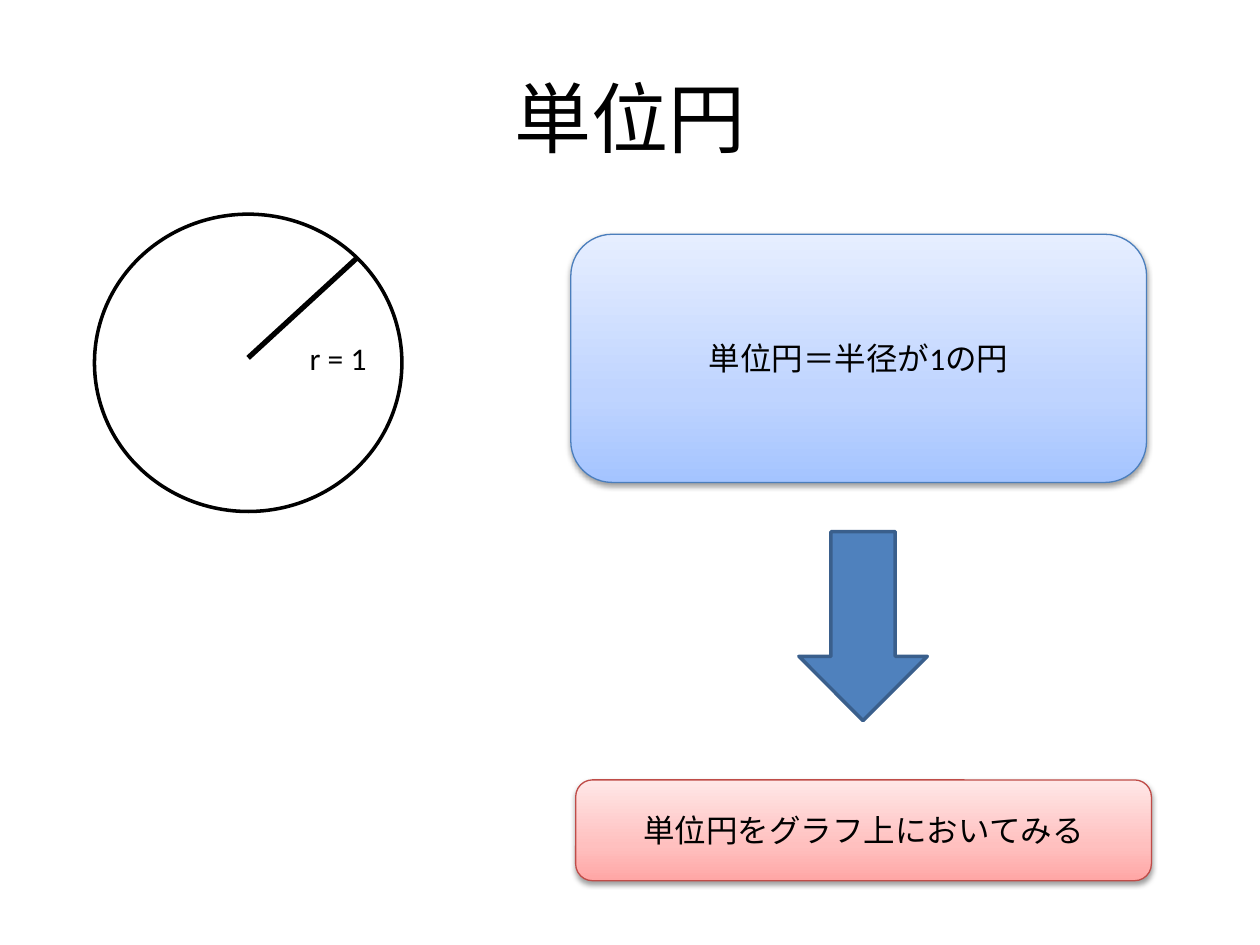
from copy import deepcopy
from typing import NamedTuple

from lxml import etree
from pptx import Presentation
from pptx.dml.color import RGBColor
from pptx.enum import shapes, text
from pptx.oxml import ns
from pptx.util import Pt

BLACK = RGBColor(0x00, 0x00, 0x00)
WHITE = RGBColor(0xFF, 0xFF, 0xFF)
ARROW_FILL = RGBColor(0x4F, 0x81, 0xBD)
ARROW_LINE = RGBColor(0x3A, 0x5F, 0x8C)
BLUE_LINE = RGBColor(0x4B, 0x7E, 0xBC)
BLUE_STOPS = (RGBColor(0xA4, 0xC4, 0xFF), RGBColor(0xBF, 0xD4, 0xFF), RGBColor(0xE6, 0xEE, 0xFF))
RED_LINE = RGBColor(0xBF, 0x4C, 0x48)
RED_STOPS = (RGBColor(0xFF, 0xA6, 0xA5), RGBColor(0xFF, 0xC0, 0xBF), RGBColor(0xFF, 0xE7, 0xE7))
STOP_POSITIONS = (0, 0.35, 1)
FONT = "Calibri"


class Box(NamedTuple):
    """Left, top, width and height in points."""
    left: float
    top: float
    width: float
    height: float

    def lengths(self) -> list:
        return [Pt(v) for v in self]


class Card(NamedTuple):
    box: Box
    label: str
    stops: tuple
    line: RGBColor


CARDS = (
    Card(Box(326.2, 133.9, 329, 141.8), "単位円＝半径が1の円", BLUE_STOPS, BLUE_LINE),
    Card(Box(329, 445.7, 329, 57.6), "単位円をグラフ上においてみる", RED_STOPS, RED_LINE),
)


def set_text(s, label: str, size: float = 18, align=text.PP_ALIGN.CENTER,
             anchor=text.MSO_ANCHOR.MIDDLE) -> None:
    tf = s.text_frame
    tf.text = label
    tf.vertical_anchor = anchor
    p = tf.paragraphs[0]
    p.alignment = align
    font = p.runs[0].font
    font.name, font.size, font.color.rgb = FONT, Pt(size), BLACK


def add_shape(slide, kind, box: Box, line: RGBColor, weight: float):
    s = slide.shapes.add_shape(kind, *box.lengths())
    s.shadow.inherit = False
    s.line.color.rgb = line
    s.line.width = Pt(weight)
    return s


def fill_gradient(s, colors: tuple) -> None:
    """Blend three colours from the bottom of the shape to its top."""
    s.fill.gradient()
    s.fill.gradient_angle = 90
    stop_list = s._element.spPr.find(".//" + ns.qn("a:gsLst"))
    stop_list.insert(1, deepcopy(stop_list[0]))
    for stop, position, color in zip(s.fill.gradient_stops, STOP_POSITIONS, colors):
        stop.position = position
        stop.color.rgb = color


def add_shadow(s) -> None:
    effects = s._element.spPr.find(ns.qn("a:effectLst"))
    shadow = etree.SubElement(effects, ns.qn("a:outerShdw"), blurRad=str(Pt(3.15)),
                              dist=str(Pt(1.57)), dir="5400000", rotWithShape="0")
    color = etree.SubElement(shadow, ns.qn("a:srgbClr"), val=str(BLACK))
    etree.SubElement(color, ns.qn("a:alpha"), val="38000")


def add_card(slide, card: Card) -> None:
    s = add_shape(slide, shapes.MSO_SHAPE.ROUNDED_RECTANGLE, card.box, card.line, 0.75)
    fill_gradient(s, card.stops)
    add_shadow(s)
    set_text(s, card.label)


def add_unit_circle(slide) -> None:
    circle = add_shape(slide, shapes.MSO_SHAPE.OVAL, Box(54, 122.4, 175.7, 169.9), BLACK, 2)
    circle.fill.solid()
    circle.fill.fore_color.rgb = WHITE

    radius = slide.shapes.add_connector(shapes.MSO_CONNECTOR.STRAIGHT,
                                        Pt(203.8), Pt(147.6), Pt(141.8), Pt(204.5))
    radius.line.color.rgb = BLACK
    radius.line.width = Pt(3)
    etree.SubElement(radius._element.spPr, ns.qn("a:effectLst"))

    label = slide.shapes.add_textbox(*Box(169.9, 190.1, 59.8, 28.8).lengths())
    label.text_frame.word_wrap = False
    set_text(label, "r = 1", align=text.PP_ALIGN.LEFT, anchor=text.MSO_ANCHOR.TOP)


def add_arrow(slide) -> None:
    s = add_shape(slide, shapes.MSO_SHAPE.DOWN_ARROW, Box(456.5, 303.8, 73.4, 108),
                  ARROW_LINE, 2)
    s.fill.solid()
    s.fill.fore_color.rgb = ARROW_FILL


def main() -> None:
    prs = Presentation()
    prs.slide_width, prs.slide_height = Pt(720), Pt(540)
    slide = prs.slides.add_slide(prs.slide_layouts[6])

    title = slide.shapes.add_textbox(*Box(36, 21.6, 648, 90).lengths())
    title.text_frame.word_wrap = True
    set_text(title, "単位円", size=44)

    add_unit_circle(slide)
    for card in CARDS:
        add_card(slide, card)
    add_arrow(slide)
    prs.save("out.pptx")


if __name__ == "__main__":
    main()
